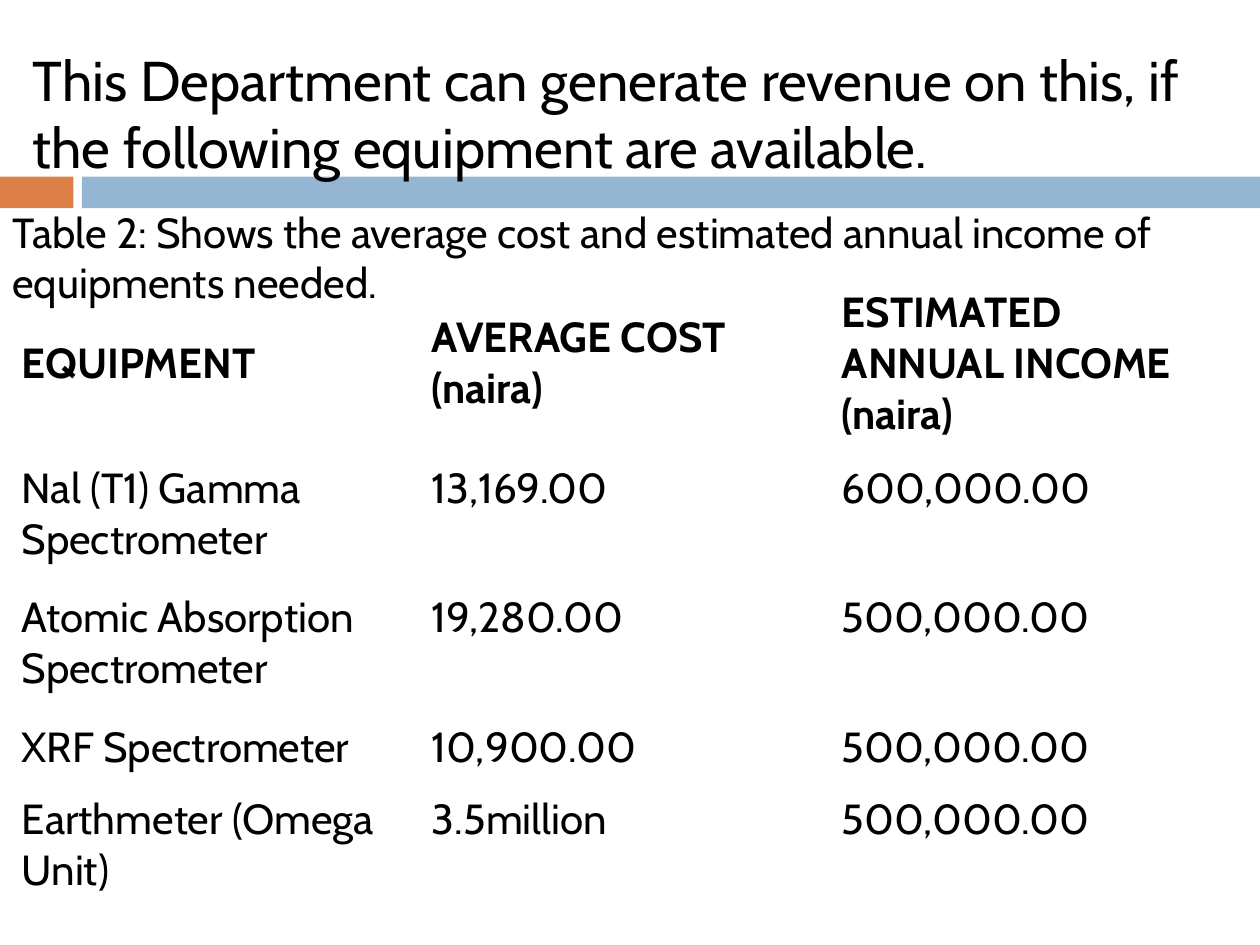
import pptx
import pptx.dml.color
import pptx.enum.shapes
import pptx.enum.text
import pptx.util

Cm = pptx.util.Cm
ANCHOR = pptx.enum.text.MSO_ANCHOR
COLOURS = {"text": "000000", "accent": "DD8047", "band": "94B6D2"}
ROWS = [
    ("EQUIPMENT", "AVERAGE COST (naira)", "ESTIMATED ANNUAL INCOME (naira)"),
    ("Nal (T1) Gamma Spectrometer", "13,169.00", "600,000.00"),
    ("Atomic Absorption Spectrometer", "19,280.00", "500,000.00"),
    ("XRF Spectrometer", "10,900.00", "500,000.00"),
    ("Earthmeter (Omega Unit)", "3.5million", "500,000.00"),
]
ROW_HEIGHTS = [3.76, 2.61, 2.61, 1.45, 2.61]


class SlideBuilder:
    """Holds the style and the current slide, and adds its elements."""

    def __init__(self, page, font="Cabin"):
        self.page = page
        self.font = font

    def colour(self, name):
        return pptx.dml.color.RGBColor.from_string(COLOURS[name])

    def style(self, para, size, bold=False):
        para.font.name = self.font
        para.font.size = pptx.util.Pt(size)
        para.font.bold = bold
        para.font.color.rgb = self.colour("text")

    def bar(self, left, top, width, height, colour):
        shape = self.page.shapes.add_shape(
            pptx.enum.shapes.MSO_SHAPE.RECTANGLE,
            Cm(left), Cm(top), Cm(width), Cm(height))
        shape.shadow.inherit = False
        shape.fill.solid()
        shape.fill.fore_color.rgb = self.colour(colour)
        shape.line.fill.background()

    def text(self, left, top, width, height, words, size):
        box = self.page.shapes.add_textbox(Cm(left), Cm(top), Cm(width), Cm(height))
        box.text_frame.word_wrap = True
        para = box.text_frame.paragraphs[0]
        para.text = words
        self.style(para, size)

    def table(self, left, top, width, rows, heights, size):
        table = self.page.shapes.add_table(
            len(rows), len(rows[0]),
            Cm(left), Cm(top), Cm(width), Cm(sum(heights))).table
        table.horz_banding = False
        for row_index, (row, height) in enumerate(zip(rows, heights)):
            header = row_index == 0
            table.rows[row_index].height = Cm(height)
            for column_index, words in enumerate(row):
                cell = table.cell(row_index, column_index)
                cell.fill.background()
                cell.margin_left = cell.margin_right = Cm(0.24)
                cell.vertical_anchor = ANCHOR.MIDDLE if header else ANCHOR.TOP
                para = cell.text_frame.paragraphs[0]
                para.text = words
                self.style(para, size, bold=header)


def main():
    deck = pptx.Presentation()
    deck.slide_width, deck.slide_height = Cm(25.4), Cm(19.05)
    builder = SlideBuilder(deck.slides.add_slide(deck.slide_layouts[6]))
    builder.bar(0, 3.56, 1.48, 0.64, "accent")
    builder.bar(1.65, 3.56, 23.75, 0.64, "band")
    builder.table(0.2, 5.44, 24.8, ROWS, ROW_HEIGHTS, 24)
    builder.text(0.41, 0.79, 24.6, 3.38,
                 "This Department can generate revenue on this, if the following "
                 "equipment are available.", 32)
    builder.text(0, 4.04, 25.4, 2.31,
                 "Table 2: Shows the average cost and estimated annual income of "
                 "equipments needed.", 24)
    deck.save("out.pptx")


if __name__ == "__main__":
    main()
